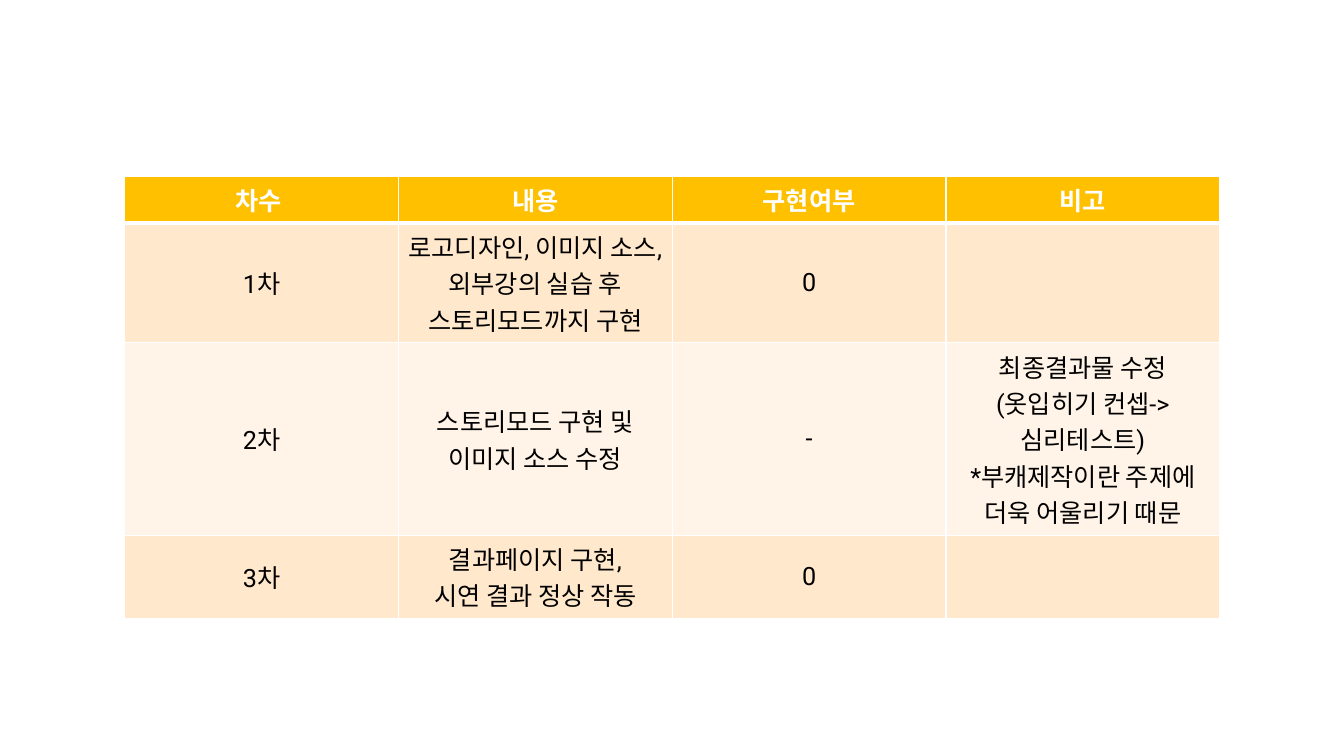
from lxml import etree
from pptx import Presentation
from pptx.dml.color import RGBColor
from pptx.enum.text import MSO_ANCHOR, PP_ALIGN
from pptx.oxml.ns import qn
from pptx.util import Cm, Pt

MIDDLE = MSO_ANCHOR.MIDDLE
CENTER = PP_ALIGN.CENTER
FONT, HANGUL_FONT = "Roboto", "Noto Sans CJK KR"
WHITE, BLACK, AMBER = "FFFFFF", "000000", "FFC000"
BANDS = ("FFE8CC", "FFF4E7")
ROW_HEIGHT = 1.03
ROUNDS = [
    ["차수 ", "내용", "구현여부", "비고"],
    ["1차", "로고디자인, 이미지 소스, 외부강의 실습 후 스토리모드까지 구현", "0", ""],
    ["2차", "스토리모드 구현 및 이미지 소스 수정", "-",
     "최종결과물 수정\n(옷입히기 컨셉->심리테스트)\n*부캐제작이란 주제에 더욱 어울리기 때문"],
    ["3차", "결과페이지 구현,\n시연 결과 정상 작동", "0", ""],
]


def rgb(value):
    """Turn a hex string into a colour."""
    return RGBColor.from_string(value)


def set_borders(cell, widths):
    """Draw white borders of the given point widths, in the order L, R, T, B."""
    tc_pr = cell._tc.get_or_add_tcPr()
    for i, (side, width) in enumerate(zip("LRTB", widths)):
        ln = etree.Element(qn(f"a:ln{side}"), w=str(Pt(width)))
        fill = etree.SubElement(ln, qn("a:solidFill"))
        etree.SubElement(fill, qn("a:srgbClr"), val=WHITE)
        tc_pr.insert(i, ln)


def write_cell(cell, text, color, bold):
    """Write centred text, one paragraph for each line."""
    cell.vertical_anchor = MIDDLE
    tf = cell.text_frame
    for i, line in enumerate(text.split("\n")):
        p = tf.paragraphs[0] if i == 0 else tf.add_paragraph()
        p.alignment = CENTER
        p.font.size = Pt(18)
        if not line:
            continue
        r = p.add_run()
        r.text = line
        r.font.name = FONT
        r.font.size = Pt(18)
        r.font.bold = bold
        r.font.color.rgb = rgb(color)
        etree.SubElement(r._r.get_or_add_rPr(), qn("a:ea"), typeface=HANGUL_FONT)


def add_rounds_table(s, left, top, width, height):
    """Place the table of development rounds in the given box."""
    table = s.shapes.add_table(len(ROUNDS), len(ROUNDS[0]), Cm(left), Cm(top),
                               Cm(width), Cm(height)).table
    for i, texts in enumerate(ROUNDS):
        header = i == 0
        table.rows[i].height = Cm(ROW_HEIGHT)
        for j, text in enumerate(texts):
            cell = table.cell(i, j)
            cell.fill.solid()
            cell.fill.fore_color.rgb = rgb(AMBER if header else BANDS[(i - 1) % 2])
            set_borders(cell, (1, 1, 3 if i == 1 else 1, 3 if header else 1))
            write_cell(cell, text, WHITE if header else BLACK, header)


def main():
    """Build the slide and save it."""
    prs = Presentation()
    prs.slide_width, prs.slide_height = Cm(33.87), Cm(19.05)
    s = prs.slides.add_slide(prs.slide_layouts[6])
    add_rounds_table(s, 3.14, 4.45, 27.6, 10.19)
    prs.save("out.pptx")


if __name__ == "__main__":
    main()
